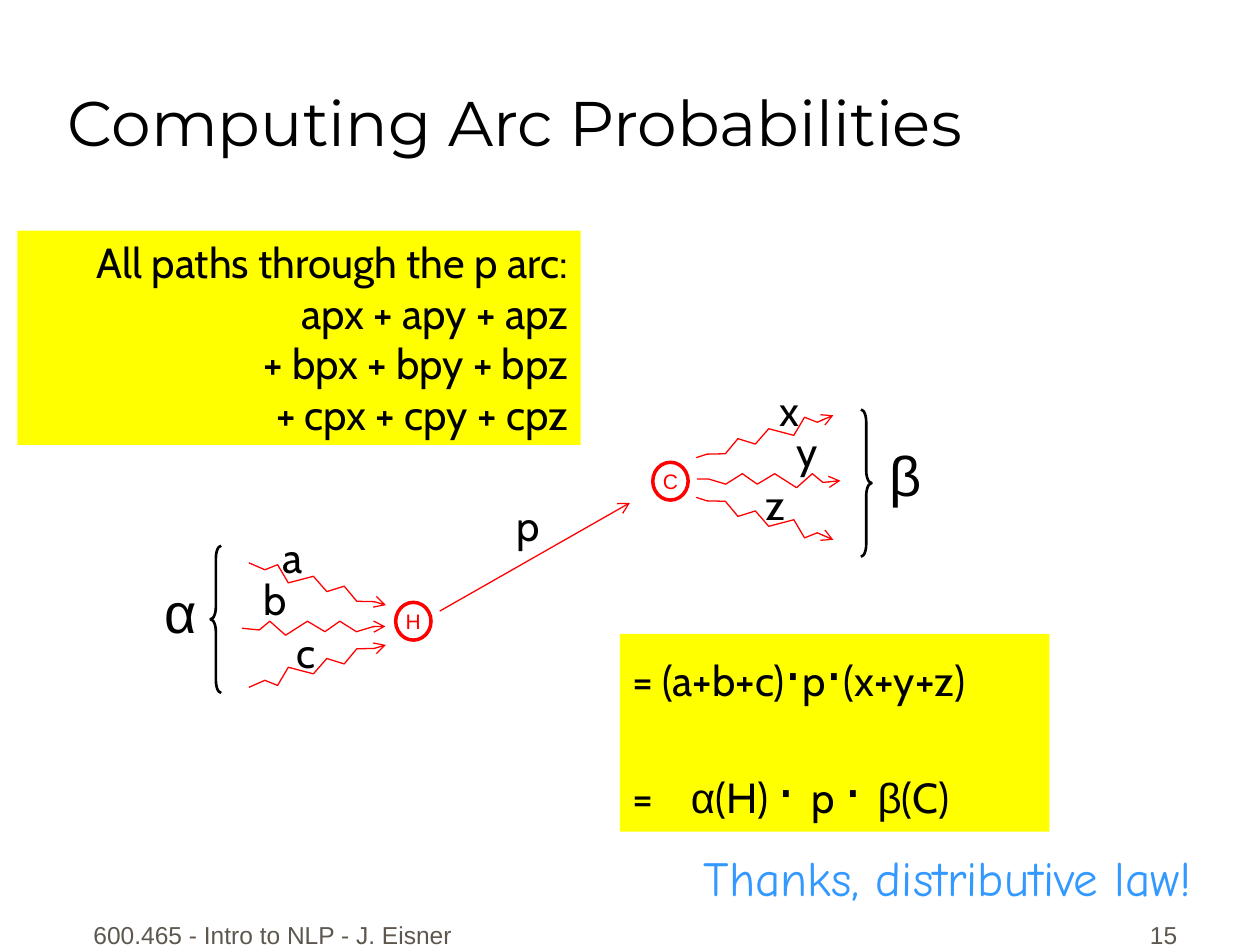
import pptx
import pptx.util
import pptx.dml.color
import pptx.enum.shapes
import pptx.enum.text
import pptx.oxml
import pptx.oxml.ns
import lxml.etree

Pt = pptx.util.Pt
KIND = pptx.enum.shapes.MSO_SHAPE
SIDE = pptx.enum.text.PP_ALIGN
EDGE = pptx.enum.text.MSO_ANCHOR
BLACK, RED, YELLOW, BLUE, GREY = "000000", "FF0000", "FFFF00", "3399FF", "5E574E"
SPAN = 82  # width of a zigzag arrow
ZIG = [(0, 3), (6.5, 3), (16.5, 6), (26, 0), (34.5, 6),
       (44.5, 0), (57, 8), (66, 0), (72, 5), (SPAN, 4)]


def hue(code):
    return pptx.dml.color.RGBColor.from_string(code)


def pen(item, color, width):
    item.line.color.rgb = hue(color)
    item.line.width = Pt(width)


def tip(item, end):
    """Put an open arrowhead on headEnd or tailEnd."""
    mark = lxml.etree.SubElement(item.line._get_or_add_ln(), pptx.oxml.ns.qn("a:" + end))
    mark.set("type", "arrow")


def write(shape, lines, color=BLACK, side=SIDE.LEFT, edge=EDGE.TOP, wrap=True):
    """Each line is a list of (text, size, font) runs."""
    frame = shape.text_frame
    frame.word_wrap = wrap
    frame.vertical_anchor = edge
    for i, line in enumerate(lines):
        para = frame.add_paragraph() if i else frame.paragraphs[0]
        para.alignment = side
        for text, size, font in line:
            run = para.add_run()
            run.text = text
            run.font.size = Pt(size)
            run.font.name = font
            run.font.color.rgb = hue(color)
    return frame


def label(shapes, box, text, size, font="Cabin", **style):
    area = shapes.add_textbox(*map(Pt, box))
    write(area, [[(text, size, font)]], **style)


def letter(shapes, mid, top, text, size=24, font="Cabin"):
    """A single sign centred on mid."""
    label(shapes, (mid - 15, top, 30, size * 1.5), text, size, font,
          side=SIDE.CENTER, wrap=False)


def panel(shapes, box, lines, side):
    rect = shapes.add_shape(KIND.RECTANGLE, *map(Pt, box))
    rect.shadow.inherit = False
    rect.fill.solid()
    rect.fill.fore_color.rgb = hue(YELLOW)
    rect.line.fill.background()
    return write(rect, lines, side=side)


def node(shapes, left, top, text):
    ring = shapes.add_shape(KIND.OVAL, Pt(left), Pt(top), Pt(20.2), Pt(21.6))
    ring.shadow.inherit = False
    ring.fill.background()
    pen(ring, RED, 2)
    write(ring, [[(text, 12, "Arial")]], RED, SIDE.CENTER, EDGE.MIDDLE, False)


def zigzag(shapes, left, top, back, flip, turn):
    dots = [(Pt(left + (SPAN - x if back else x)), Pt(top + (8 - y if flip else y)))
            for x, y in ZIG]
    pencil = shapes.build_freeform(*dots[0])
    pencil.add_line_segments(dots[1:], close=False)
    wave = pencil.convert_to_shape()
    wave.shadow.inherit = False
    wave.fill.background()
    pen(wave, RED, 0.75)
    tip(wave, "headEnd" if back else "tailEnd")
    wave.rotation = turn


def fan(slide, left, top, names, sign, drop, back):
    """Three zigzags, their names, a brace and its sign; back mirrors them."""
    shapes = slide.shapes.add_group_shape().shapes

    def place(x, wide=0):
        return left + (SPAN - x - wide if back else x)

    way = -1 if back else 1
    for dx, dy, flip, turn in ((0, 0, False, 0), (-2, -24.8, False, -17.9),
                               (-2, 21.2, True, 17.9)):
        zigzag(shapes, left + way * dx, top + dy, back, flip, way * turn)
    for name, mid, dy in zip(names, (53, 63, 45), (-54.7, -31, -0.7)):
        letter(shapes, place(mid), top + dy, name)
    kind = KIND.LEFT_BRACE if back else KIND.RIGHT_BRACE
    brace = shapes.add_shape(kind, Pt(place(93.8, 6)), Pt(top + drop), Pt(6), Pt(84.2))
    brace.shadow.inherit = False
    brace.fill.background()
    brace.adjustments[0] = 1.2
    pen(brace, BLACK, 1.5)
    letter(shapes, place(118.2), top + drop + 14.4, sign, 32, "Arial")


def arc(shapes, start, end):
    line = shapes.add_connector(pptx.enum.shapes.MSO_CONNECTOR.STRAIGHT,
                                *map(Pt, start + end))
    pen(line, RED, 0.75)
    tip(line, "tailEnd")
    lxml.etree.SubElement(line._element.spPr, pptx.oxml.ns.qn("a:effectLst"))


def sums(shapes, box):
    lines = ("All paths through the p arc:", "apx + apy + apz",
             "+ bpx + bpy + bpz", "+ cpx + cpy + cpz")
    panel(shapes, box, [[(line, 24, "Cabin")] for line in lines], SIDE.RIGHT)


def product(shapes, box):
    dot = ("⋅", 32, "Arial")
    gap = ("⋅ ", 32, "Arial")
    frame = panel(shapes, box, [
        [("= (a+b+c)", 24, "Cabin"), dot, ("p", 24, "Cabin"), dot, ("(x+y+z)", 24, "Cabin")],
        [("=\t", 24, "Cabin"), ("α", 24, "Arial"), ("(H) ", 24, "Cabin"), gap,
         ("p ", 24, "Cabin"), gap, ("β", 24, "Arial"), ("(C)", 24, "Cabin")],
    ], SIDE.LEFT)
    last = frame.paragraphs[1]
    last.space_before = Pt(29)
    # Tab stop that lines up the alpha
    tabs = lxml.etree.SubElement(last._p.get_or_add_pPr(), pptx.oxml.ns.qn("a:tabLst"))
    stop = lxml.etree.SubElement(tabs, pptx.oxml.ns.qn("a:tab"))
    stop.set("pos", str(int(Pt(33.5))))
    stop.set("algn", "l")


def main():
    deck = pptx.Presentation()
    deck.slide_width, deck.slide_height = Pt(720), Pt(540)
    slide = deck.slides.add_slide(deck.slide_layouts[6])
    shapes = slide.shapes

    # Footer and title
    label(shapes, (41.8, 509.8, 228.2, 36), "600.465 - Intro to NLP - J. Eisner", 14,
          "Arial", color=GREY, side=SIDE.CENTER, edge=EDGE.BOTTOM)
    label(shapes, (530, 509.8, 149.8, 36), "15", 14, "Arial",
          color=GREY, side=SIDE.RIGHT, edge=EDGE.BOTTOM)
    label(shapes, (31.7, 4.3, 670.3, 90), "Computing Arc Probabilities", 36,
          "Montserrat", edge=EDGE.BOTTOM)

    # Graph
    node(shapes, 373, 264.2, "C")
    arc(shapes, (251.3, 349.2), (360, 287.3))
    node(shapes, 226.1, 344.2, "H")
    letter(shapes, 301.7, 282.2, "p")
    fan(slide, 398.2, 270.7, "xyz", "β", -36.7, False)
    fan(slide, 138.2, 355, "abc", "α", -43.2, True)

    # Formulas and remark
    sums(shapes, (10, 131.8, 321.8, 122.4))
    product(shapes, (354.2, 362.2, 245.5, 113))
    label(shapes, (394.6, 481, 293.8, 41), "Thanks, distributive law!", 28,
          "Comic Neue", color=BLUE, side=SIDE.CENTER, wrap=False)

    deck.save("out.pptx")


if __name__ == "__main__":
    main()
